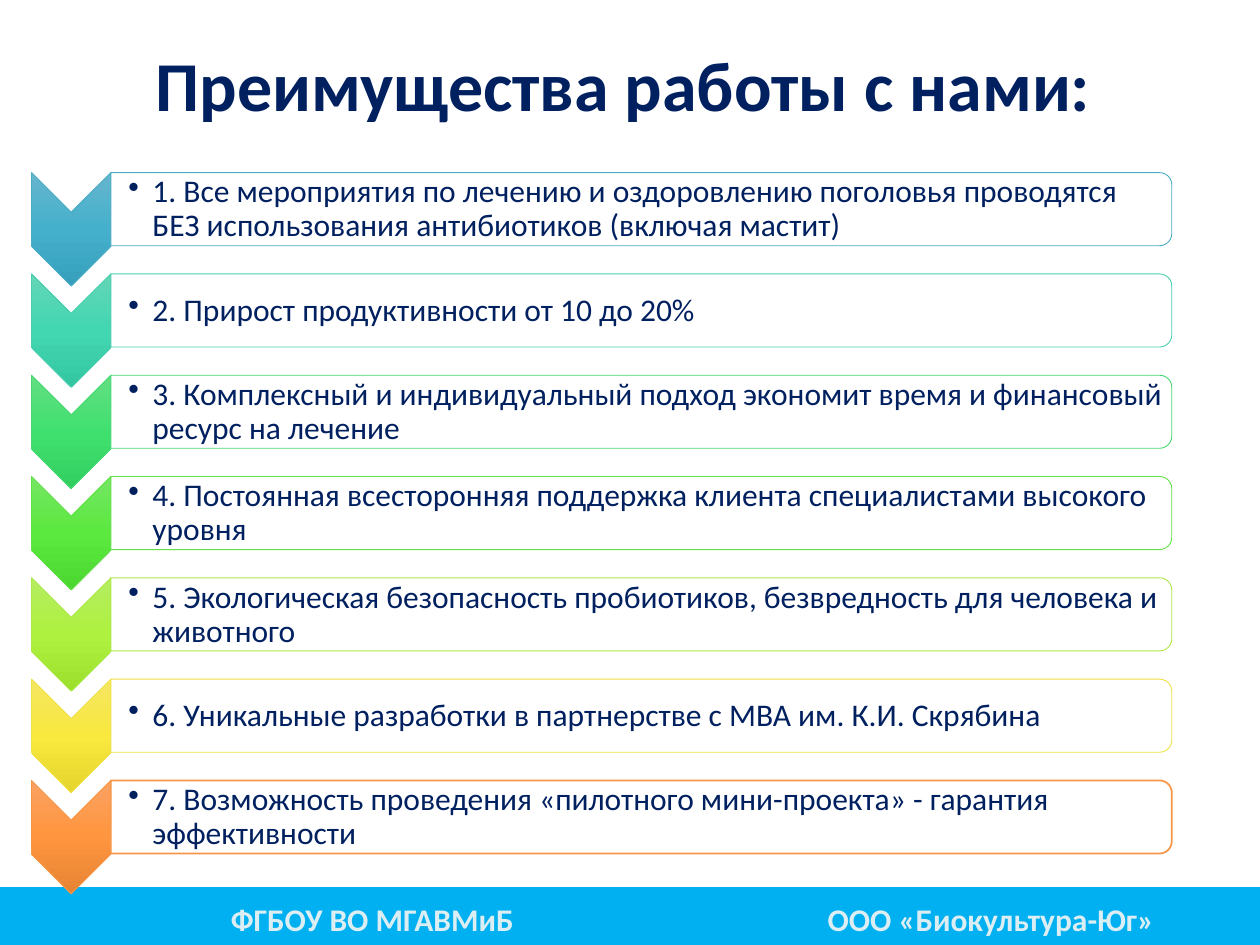
from pptx import Presentation
from pptx.dml.color import RGBColor
from pptx.enum.shapes import MSO_SHAPE
from pptx.enum.text import MSO_ANCHOR, PP_ALIGN
from pptx.oxml import parse_xml
from pptx.oxml.ns import nsdecls
from pptx.util import Inches, Pt

RECTANGLE = MSO_SHAPE.RECTANGLE
CHEVRON = MSO_SHAPE.CHEVRON
ROUNDED_TOP = MSO_SHAPE.ROUND_2_SAME_RECTANGLE
MIDDLE = MSO_ANCHOR.MIDDLE
CENTER = PP_ALIGN.CENTER

COLORS = {"navy": "002060", "band": "00B0F0", "pale": "DBEEF4", "white": "FFFFFF"}
FONT = "Calibri"

# Text, outline colour, gradient from top to bottom
BENEFITS = [
    ("1. Все мероприятия по лечению и оздоровлению поголовья проводятся БЕЗ использования "
     "антибиотиков (включая мастит)", "4BACC6", ("66B5CD", "45B0CC", "36A0BC")),
    ("2. Прирост продуктивности от 10 до 20%",
     "49CFAE", ("64D6B7", "42D6B1", "33C6A1")),
    ("3. Комплексный и индивидуальный подход экономит время и финансовый ресурс на лечение",
     "47D872", ("63DE83", "40E06F", "31CF5F")),
    ("4. Постоянная всесторонняя поддержка клиента специалистами высокого уровня",
     "60E146", ("75E663", "5BE83F", "4BD72F")),
    ("5. Экологическая безопасность пробиотиков, безвредность для человека и животного",
     "ACE946", ("B5ED63", "AEF13E", "9DDF2D")),
    ("6. Уникальные разработки в партнерстве с МВА им. К.И. Скрябина",
     "F0E146", ("F4E663", "F9E83D", "E5D52E")),
    ("7. Возможность проведения «пилотного мини-проекта» - гарантия эффективности",
     "F79646", ("FAA263", "FF953E", "E58435")),
]

# Inches
FIRST_TOP, ROW_STEP = 1.37, 0.804
CHEVRON_LEFT, CHEVRON_WIDTH, CHEVRON_HEIGHT = 0.25, 0.63, 0.9
PANEL_LEFT, PANEL_WIDTH, PANEL_HEIGHT = 0.88, 8.42, 0.58


def add_turned_shape(kind, left, top, width, height, line_color, line_width):
    """Add a shape turned by 90 degrees that covers the given upright area."""
    shape = slide.shapes.add_shape(
        kind, Inches(left + (width - height) / 2), Inches(top + (height - width) / 2),
        Inches(height), Inches(width))
    shape.rotation = 90
    shape.shadow.inherit = False
    shape.fill.solid()
    shape.fill.fore_color.rgb = RGBColor.from_string(COLORS["white"])
    shape.line.color.rgb = RGBColor.from_string(line_color)
    shape.line.width = Pt(line_width)
    return shape


def style_font(paragraph, size, color, bold=False):
    paragraph.font.name = FONT
    paragraph.font.size = Pt(size)
    paragraph.font.bold = bold
    paragraph.font.color.rgb = RGBColor.from_string(color)


presentation = Presentation()
presentation.slide_width = Inches(10)
presentation.slide_height = Inches(7.5)
slide = presentation.slides.add_slide(presentation.slide_layouts[5])

# Title
title = slide.shapes.title
title.left, title.top, title.width, title.height = (
    Inches(0.66), Inches(0.17), Inches(8.57), Inches(1.07))
title.text_frame.text = "Преимущества работы с нами:"
title.text_frame.vertical_anchor = MIDDLE
paragraph = title.text_frame.paragraphs[0]
paragraph.alignment = CENTER
paragraph.line_spacing = 0.9
style_font(paragraph, 40, COLORS["navy"], bold=True)

# Footer band with the two partners
band = slide.shapes.add_shape(RECTANGLE, 0, Inches(7.04), Inches(10), Inches(0.46))
band.shadow.inherit = False
band.fill.solid()
band.fill.fore_color.rgb = RGBColor.from_string(COLORS["band"])
band.line.fill.background()
for text, left, width in [("ФГБОУ ВО МГАВМиБ", 1.72, 2.47),
                          ("ООО «Биокультура-Юг»", 6.41, 2.91)]:
    partner = slide.shapes.add_textbox(Inches(left), Inches(7.09), Inches(width), Inches(0.4))
    partner.text_frame.word_wrap = True
    partner.text_frame.text = text
    paragraph = partner.text_frame.paragraphs[0]
    paragraph.alignment = CENTER
    style_font(paragraph, 18, COLORS["pale"], bold=True)

# Benefits: chevron, panel and bulleted text in each row
for row, (text, line_color, gradient) in enumerate(BENEFITS):
    top = FIRST_TOP + row * ROW_STEP
    is_last = row == len(BENEFITS) - 1

    chevron = add_turned_shape(CHEVRON, CHEVRON_LEFT, top, CHEVRON_WIDTH, CHEVRON_HEIGHT,
                               line_color, 0.5)
    stops = "".join(f'<a:gs pos="{index * 50000}"><a:srgbClr val="{color}"/></a:gs>'
                    for index, color in enumerate(gradient))
    properties = chevron.element.spPr
    properties.replace(properties.find("{*}solidFill"), parse_xml(
        f'<a:gradFill {nsdecls("a")} rotWithShape="0"><a:gsLst>{stops}</a:gsLst>'
        '<a:lin ang="5400000" scaled="0"/></a:gradFill>'))

    add_turned_shape(ROUNDED_TOP, PANEL_LEFT, top, PANEL_WIDTH, PANEL_HEIGHT,
                     line_color, 1 if is_last else 0.5)

    label = slide.shapes.add_textbox(Inches(PANEL_LEFT), Inches(top + 0.03),
                                     Inches(8.4), Inches(0.53))
    frame = label.text_frame
    frame.word_wrap = True
    frame.vertical_anchor = MIDDLE
    frame.margin_left = Inches(0.14)
    frame.margin_top = frame.margin_right = frame.margin_bottom = Inches(0.01)
    frame.text = text
    paragraph = frame.paragraphs[0]
    paragraph.line_spacing = 0.9
    bullet = paragraph._p.get_or_add_pPr()
    bullet.set("marL", str(Inches(0.19)))
    bullet.set("indent", str(Inches(-0.19)))
    bullet.append(parse_xml(f'<a:buChar {nsdecls("a")} char="•"/>'))
    style_font(paragraph, 18, COLORS["navy"])

presentation.save("out.pptx")
